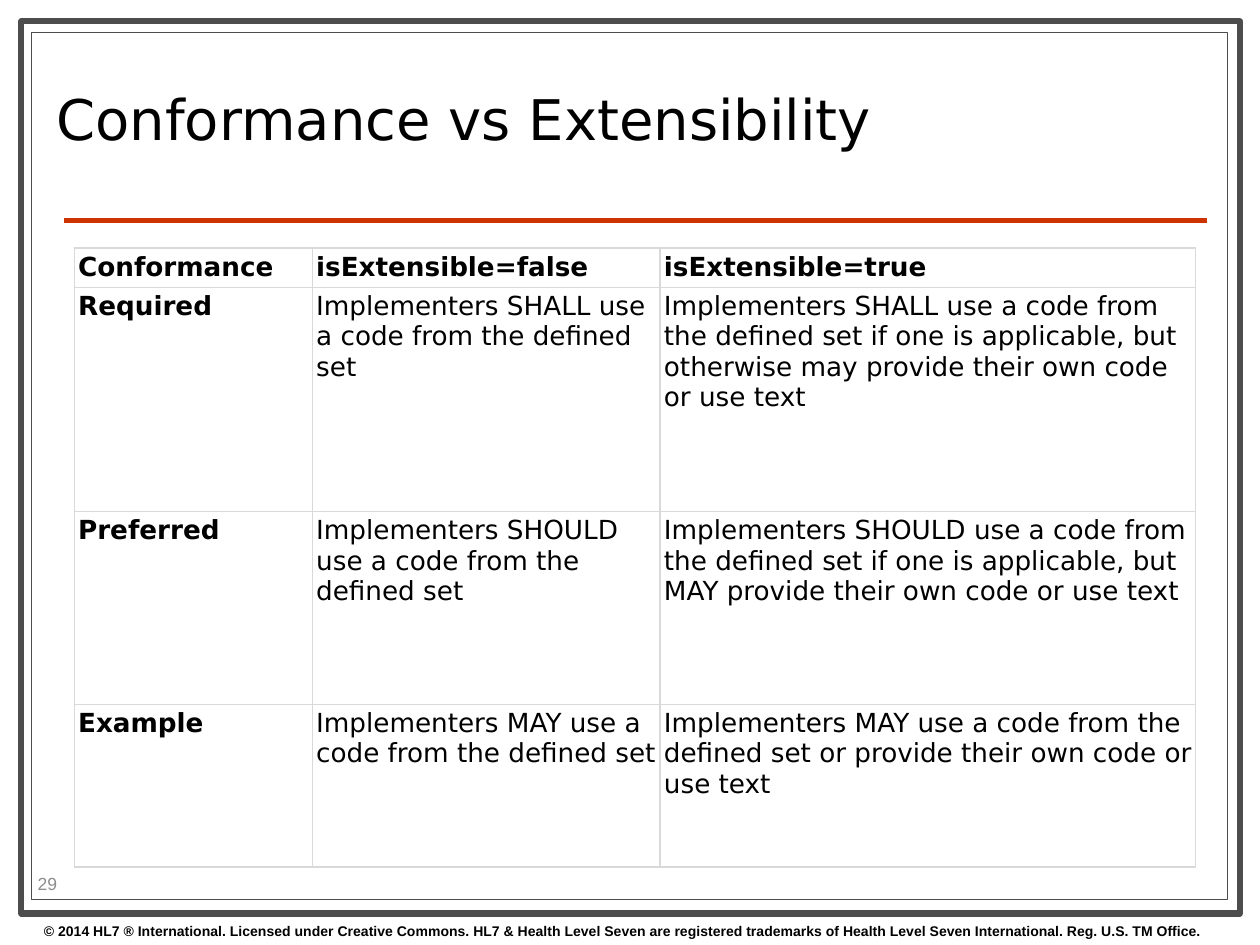
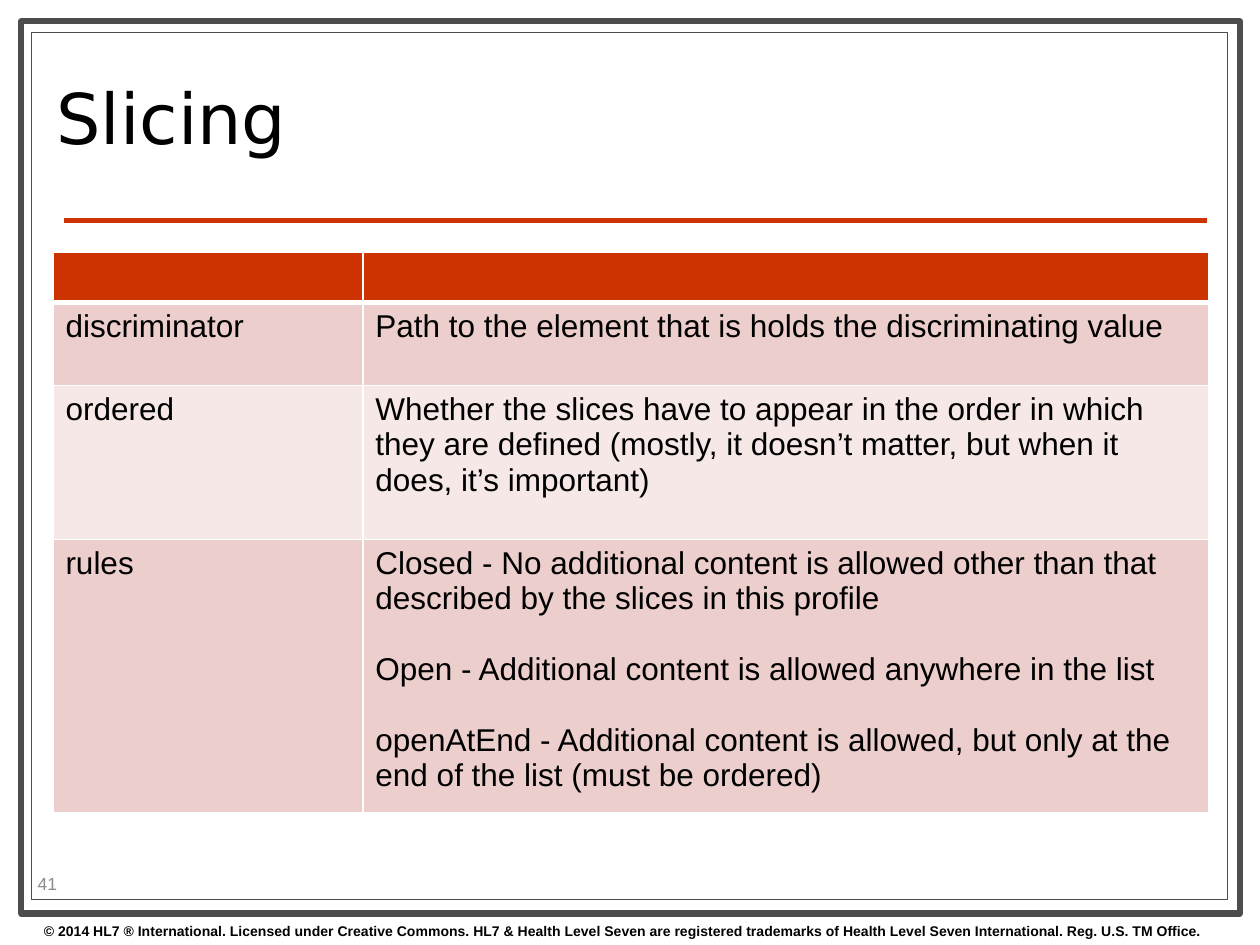
from dataclasses import dataclass
from lxml import etree
from pptx import Presentation
from pptx.dml.color import RGBColor
from pptx.enum.shapes import MSO_CONNECTOR, MSO_SHAPE
from pptx.enum.text import MSO_ANCHOR
from pptx.oxml.ns import qn
from pptx.util import Inches, Pt

RECTANGLE = MSO_SHAPE.RECTANGLE
STRAIGHT = MSO_CONNECTOR.STRAIGHT
TOP, MIDDLE = MSO_ANCHOR.TOP, MSO_ANCHOR.MIDDLE


@dataclass(frozen=True)
class Theme:
    paper: str = "FFFFFF"
    ink: str = "000000"
    frame: str = "4D4D4D"
    accent: str = "CC3300"
    muted: str = "8C8C8C"
    grid: str = "D9D9D9"
    band_dark: str = "ECCECC"
    band_light: str = "F6E8E7"
    heading_font: str = "DejaVu Sans"
    body_font: str = "Arial"
    footer_size: float = 8
    number_size: float = 10
    small_table_size: float = 15
    large_table_size: float = 18
    paragraph_gap: float = 20.5


THEME = Theme()
WIDTH, HEIGHT = 10, 7.5
FRAMES = [((0.17, 0.17, 9.67, 7.08), 3.5), ((0.25, 0.26, 9.49, 6.88), 0.75)]
RULE_LEFT, RULE_RIGHT, RULE_TOP = 0.51, 9.58, 1.75
TITLE_AREA = (0.35, 0.36, 7.17, 1.26)
NUMBER_AREA = (0.2, 6.89, 0.79, 0.24)
FOOTER_AREA = (0.25, 7.27, 9.6, 0.23)
FOOTER = (
    "© 2014 HL7 ® International. Licensed under Creative Commons. "
    "HL7 & Health Level Seven are registered trademarks of "
    "Health Level Seven International. Reg. U.S. TM Office."
)

CONFORMANCE = {
    "rows": [
        ["Conformance", "isExtensible=false", "isExtensible=true"],
        ["Required",
         "Implementers SHALL use a code from the defined set",
         "Implementers SHALL use a code from the defined set if one is applicable, "
         "but otherwise may provide their own code or use text"],
        ["Preferred",
         "Implementers SHOULD use a code from the defined set",
         "Implementers SHOULD use a code from the defined set if one is applicable, "
         "but MAY provide their own code or use text"],
        ["Example",
         "Implementers MAY use a code from the defined set",
         "Implementers MAY use a code from the defined set "
         "or provide their own code or use text"],
    ],
    "origin": (0.59, 1.97),
    "columns": [1.89, 2.76, 4.25],
    "heights": [0.3, 1.78, 1.53, 1.29],
    "margins": (0.03, 0.03, 0.02, 0.03),
    "font": THEME.heading_font,
    "size": THEME.small_table_size,
    "bold_labels": True,
    "header_fill": THEME.paper,
    "band_fills": [THEME.paper],
    "border": THEME.grid,
    "header_border": 1,
}

SLICING = {
    "rows": [
        ["", ""],
        ["discriminator", "Path to the element that is holds the discriminating value"],
        ["ordered",
         "Whether the slices have to appear in the order in which they are defined "
         "(mostly, it doesn’t matter, but when it does, it’s important)"],
        ["rules",
         "Closed - No additional content is allowed other than that described "
         "by the slices in this profile\n"
         "Open - Additional content is allowed anywhere in the list\n"
         "openAtEnd - Additional content is allowed, but only at the end of the list "
         "(must be ordered)"],
    ],
    "origin": (0.42, 2),
    "columns": [2.46, 6.71],
    "heights": [0.4, 0.66, 1.22, 2.06],
    "margins": (0.1, 0.05, 0.1, 0.05),
    "font": THEME.body_font,
    "size": THEME.large_table_size,
    "bold_labels": False,
    "header_fill": THEME.accent,
    "band_fills": [THEME.band_dark, THEME.band_light],
    "border": THEME.paper,
    "header_border": 3,
}

PAGES = [
    ("Conformance vs Extensibility", 32, 29, CONFORMANCE),
    ("Slicing", 40, 41, SLICING),
]


def color(code):
    return RGBColor.from_string(code)


def style(para, font, size, ink=THEME.ink, bold=False):
    para.font.name = font
    para.font.size = Pt(size)
    para.font.bold = bold
    para.font.color.rgb = color(ink)


def add_text(page, area, text, font, size, ink=THEME.ink, bold=False, anchor=MIDDLE):
    box = page.shapes.add_textbox(*map(Inches, area))
    frame = box.text_frame
    frame.word_wrap = True
    frame.vertical_anchor = anchor
    para = frame.paragraphs[0]
    para.text = text
    style(para, font, size, ink, bold)
    return para


def add_backdrop(page):
    for area, weight in FRAMES:
        border = page.shapes.add_shape(RECTANGLE, *map(Inches, area))
        border.shadow.inherit = False
        border.fill.solid()
        border.fill.fore_color.rgb = color(THEME.paper)
        border.line.color.rgb = color(THEME.frame)
        border.line.width = Pt(weight)
    ends = map(Inches, (RULE_LEFT, RULE_TOP, RULE_RIGHT, RULE_TOP))
    rule = page.shapes.add_connector(STRAIGHT, *ends)
    rule.line.color.rgb = color(THEME.accent)
    rule.line.width = Pt(3)
    etree.SubElement(rule._element.spPr, qn("a:effectLst"))
    add_text(page, FOOTER_AREA, FOOTER, THEME.body_font, THEME.footer_size,
             bold=True, anchor=TOP)


def set_borders(cell, code, widths):
    properties = cell._tc.get_or_add_tcPr()
    for side, width in zip("LRTB", widths):
        line = etree.SubElement(properties, qn(f"a:ln{side}"), w=str(Pt(width)))
        fill = etree.SubElement(line, qn("a:solidFill"))
        etree.SubElement(fill, qn("a:srgbClr"), val=code)


def fill_cell(cell, text, spec, row, column):
    header = spec["header_border"]
    set_borders(cell, spec["border"],
                (1, 1, header if row == 1 else 1, header if row == 0 else 1))
    bands = spec["band_fills"]
    shade = bands[(row - 1) % len(bands)] if row else spec["header_fill"]
    cell.fill.solid()
    cell.fill.fore_color.rgb = color(shade)
    (cell.margin_left, cell.margin_top,
     cell.margin_right, cell.margin_bottom) = map(Inches, spec["margins"])
    cell.text = text
    bold = spec["bold_labels"] and (row == 0 or column == 0)
    for index, para in enumerate(cell.text_frame.paragraphs):
        style(para, spec["font"], spec["size"], bold=bold)
        if index:
            para.space_before = Pt(THEME.paragraph_gap)


def add_grid(page, spec):
    rows, columns, heights = spec["rows"], spec["columns"], spec["heights"]
    area = (*spec["origin"], sum(columns), sum(heights))
    table = page.shapes.add_table(len(rows), len(columns), *map(Inches, area)).table
    table.horz_banding = False
    for column, width in zip(table.columns, columns):
        column.width = Inches(width)
    for row, height in zip(table.rows, heights):
        row.height = Inches(height)
    for row, texts in enumerate(rows):
        for column, text in enumerate(texts):
            fill_cell(table.cell(row, column), text, spec, row, column)


def main():
    deck = Presentation()
    deck.slide_width, deck.slide_height = Inches(WIDTH), Inches(HEIGHT)
    for title, title_size, number, spec in PAGES:
        page = deck.slides.add_slide(deck.slide_layouts[6])
        add_backdrop(page)
        heading = add_text(page, TITLE_AREA, title, THEME.heading_font, title_size)
        heading.line_spacing = 0.8
        add_text(page, NUMBER_AREA, str(number), THEME.body_font,
                 THEME.number_size, THEME.muted)
        add_grid(page, spec)
    deck.save("out.pptx")


if __name__ == "__main__":
    main()
